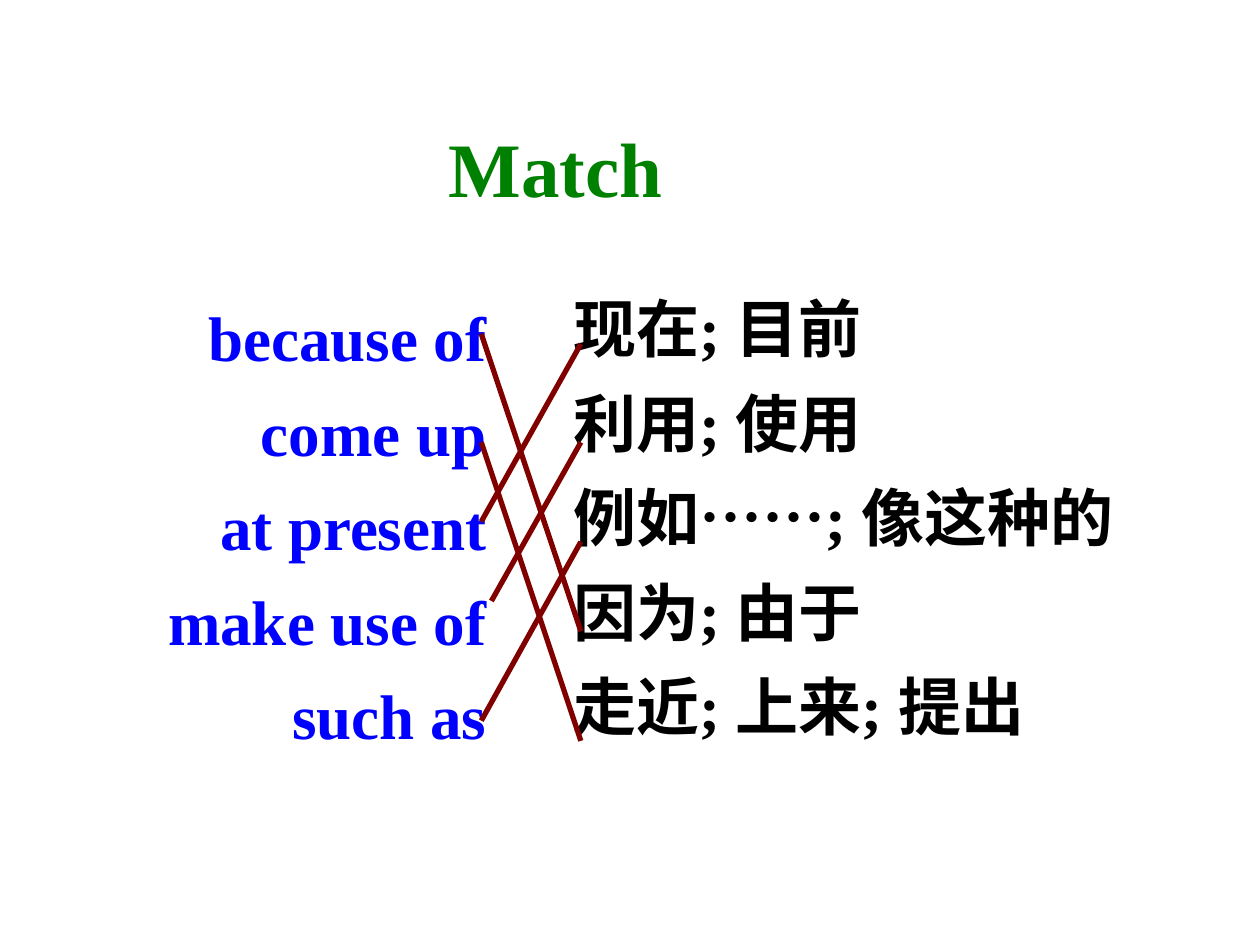
"""Build a vocabulary matching slide with phrases, meanings and joining lines."""
from dataclasses import dataclass

from lxml.etree import SubElement
from pptx import Presentation
from pptx.dml.color import RGBColor
from pptx.enum.shapes import MSO_CONNECTOR
from pptx.enum.text import PP_ALIGN
from pptx.oxml.ns import qn
from pptx.slide import Slide
from pptx.util import Inches, Pt

GREEN = RGBColor(0x00, 0x80, 0x00)
BLUE = RGBColor(0x00, 0x00, 0xFF)
BLACK = RGBColor(0x00, 0x00, 0x00)
MAROON = RGBColor(0x80, 0x00, 0x00)
FONT = "Times New Roman"
PHRASE_X, MEANING_X = 3.82, 4.61


@dataclass(frozen=True)
class TextBlock:
    left: float
    top: float
    width: float
    height: float
    lines: tuple[str, ...]
    size: int
    color: RGBColor
    align: PP_ALIGN
    spacing: float = 1.25


@dataclass(frozen=True)
class Match:
    phrase_y: float
    meaning_y: float
    phrase_x: float = PHRASE_X


BLOCKS = (
    TextBlock(0.83, 2.17, 3.13, 3.85,
              ("because of", "come up", "at present", "make use of", "such as"),
              36, BLUE, PP_ALIGN.RIGHT),
    TextBlock(4.45, 2.1, 4.65, 3.85,
              ("现在; 目前", "利用; 使用", "例如……; 像这种的因为; 由于", "走近; 上来; 提出"),
              36, BLACK, PP_ALIGN.LEFT),
    TextBlock(3.03, 0.91, 2.76, 0.84, ("Match",), 44, GREEN, PP_ALIGN.CENTER, 1.0),
)

MATCHES = (
    Match(2.65, 5.01),
    Match(3.51, 5.88),
    Match(4.14, 2.73),
    Match(4.77, 3.51, phrase_x=3.9),
    Match(5.72, 4.3),
)


def add_block(slide: Slide, block: TextBlock) -> None:
    box = slide.shapes.add_textbox(Inches(block.left), Inches(block.top),
                                   Inches(block.width), Inches(block.height))
    frame = box.text_frame
    frame.word_wrap = True
    frame.text = "\n".join(block.lines)
    for paragraph in frame.paragraphs:
        paragraph.alignment = block.align
        paragraph.line_spacing = block.spacing
        for run in paragraph.runs:
            run.font.name = FONT
            run.font.size = Pt(block.size)
            run.font.bold = True
            run.font.color.rgb = block.color


def add_match(slide: Slide, match: Match) -> None:
    connector = slide.shapes.add_connector(
        MSO_CONNECTOR.STRAIGHT,
        Inches(match.phrase_x), Inches(match.phrase_y),
        Inches(MEANING_X), Inches(match.meaning_y))
    connector.line.color.rgb = MAROON
    connector.line.width = Pt(3)
    SubElement(connector._element.spPr, qn("a:effectLst"))


def main() -> None:
    presentation = Presentation()
    presentation.slide_width = Inches(10)
    presentation.slide_height = Inches(7.5)
    slide = presentation.slides.add_slide(presentation.slide_layouts[6])
    for block in BLOCKS:
        add_block(slide, block)
    for match in MATCHES:
        add_match(slide, match)
    presentation.save("out.pptx")


if __name__ == "__main__":
    main()
